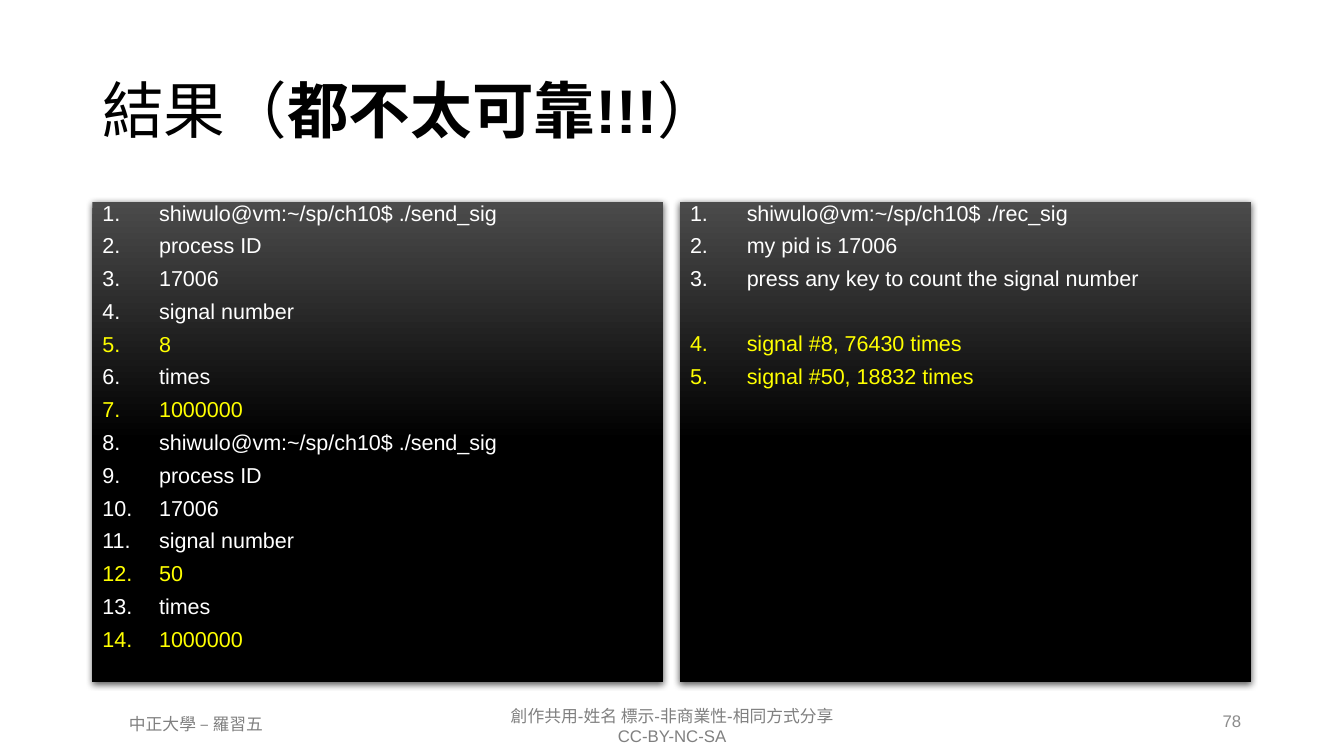
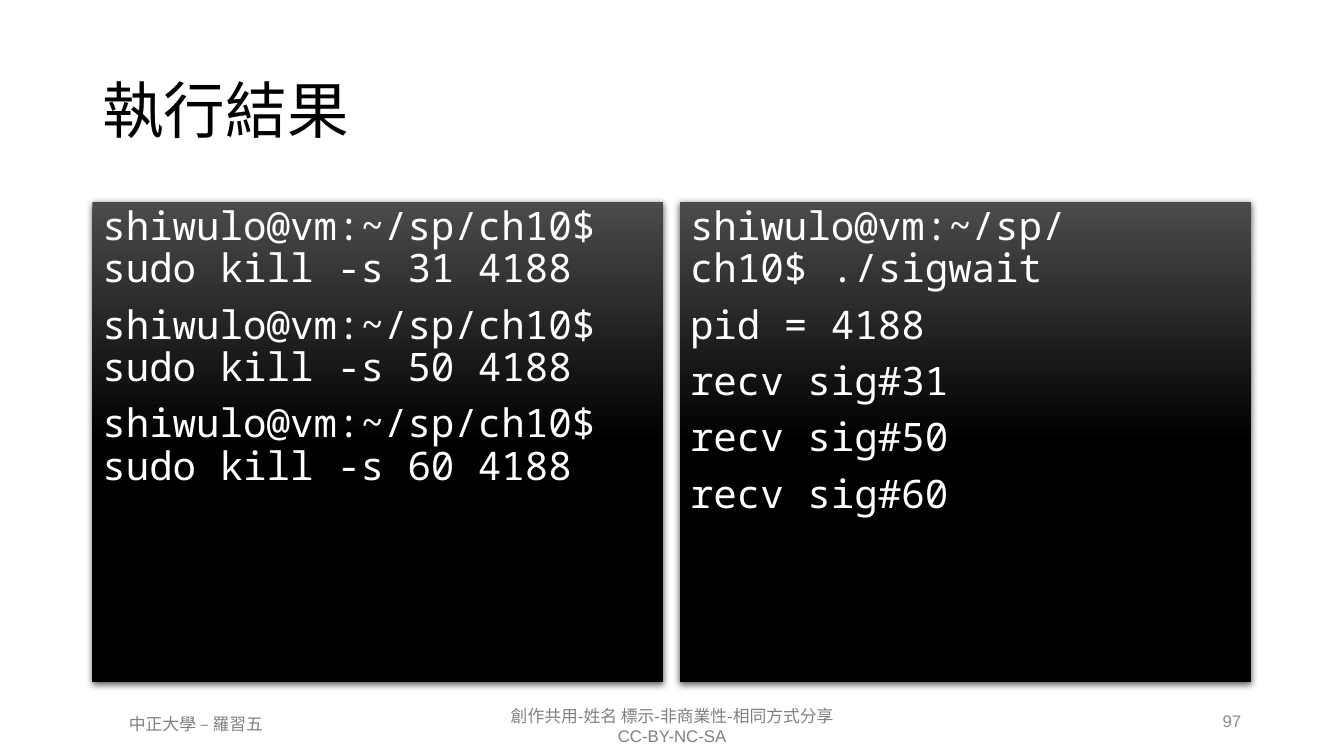
from dataclasses import dataclass

from lxml import etree
from pptx import Presentation
from pptx.dml.color import RGBColor
from pptx.enum.shapes import MSO_SHAPE
from pptx.enum.text import MSO_ANCHOR, PP_ALIGN
from pptx.oxml.ns import qn
from pptx.util import Cm, Pt

RECT = MSO_SHAPE.RECTANGLE
TOP, MIDDLE = MSO_ANCHOR.TOP, MSO_ANCHOR.MIDDLE
LEFT, CENTER, RIGHT = PP_ALIGN.LEFT, PP_ALIGN.CENTER, PP_ALIGN.RIGHT


@dataclass(frozen=True)
class Theme:
    ink: str = "000000"
    panel_top: str = "4B4B4B"
    code: str = "FFFFFF"
    highlight: str = "FFFF00"
    footer: str = "808080"
    number: str = "8C8C8C"
    font: str = "Arial"
    mono: str = "Noto Sans Mono"
    title_size: float = 44
    mono_size: float = 28
    list_size: float = 15.4
    footer_size: float = 12


THEME = Theme()
MARGIN, CONTENT_W, GAP = 2.33, 29.2, 0.42
PANEL_W = (CONTENT_W - GAP) / 2
PANEL_TOP, PANEL_H = 5.08, 12.1
LIST_INDENT = Cm(1.43)
LIST_SPACE, LIST_BREAK = 10.5, 33.4


class Deck:
    def __init__(self, theme):
        self.theme = theme
        self.prs = Presentation()
        self.prs.slide_width, self.prs.slide_height = Cm(33.87), Cm(19.05)
        self.slide = None

    def new_slide(self, title, number):
        t = self.theme
        self.slide = self.prs.slides.add_slide(self.prs.slide_layouts[6])
        self.text(10.69, 17.65, 12.5, 1.27,
                  ["創作共用-姓名 標示-非商業性-相同方式分享", "CC-BY-NC-SA"],
                  t.footer, CENTER)
        self.text(1.75, 17.86, 6.38, 0.76, ["中正大學 – 羅習五"], t.footer, CENTER)
        self.text(23.91, 17.65, 7.62, 1.01, [str(number)], t.number, RIGHT, MIDDLE)
        self.title(title)

    def style(self, r, size, color, font=None, bold=False):
        r.font.size = Pt(size)
        r.font.name = font or self.theme.font
        r.font.color.rgb = RGBColor.from_string(color)
        r.font.bold = bold

    def box(self, x, y, w, h, anchor):
        sp = self.slide.shapes.add_textbox(Cm(x), Cm(y), Cm(w), Cm(h))
        tf = sp.text_frame
        tf.word_wrap = True
        tf.vertical_anchor = anchor
        return tf

    def text(self, x, y, w, h, lines, color, align, anchor=TOP):
        tf = self.box(x, y, w, h, anchor)
        tf.text = "\n".join(lines)
        for p in tf.paragraphs:
            p.alignment = align
            self.style(p.runs[0], self.theme.footer_size, color)

    def title(self, parts):
        p = self.box(MARGIN, 1.01, CONTENT_W, 3.68, MIDDLE).paragraphs[0]
        p.line_spacing = 0.9
        for words, bold in parts:
            r = p.add_run()
            r.text = words
            self.style(r, self.theme.title_size, self.theme.ink, bold=bold)

    def panel(self, column, lines):
        x = MARGIN + column * (PANEL_W + GAP)
        sp = self.slide.shapes.add_shape(
            RECT, Cm(x), Cm(PANEL_TOP), Cm(PANEL_W), Cm(PANEL_H))
        sp.line.fill.background()
        sp.fill.gradient()
        sp.fill.gradient_angle = 270
        stops = zip(sp.fill.gradient_stops, (0, 0.5),
                    (self.theme.panel_top, self.theme.ink))
        for stop, position, color in stops:
            stop.position = position
            stop.color.rgb = RGBColor.from_string(color)
        self.shadow(sp)
        tf = sp.text_frame
        tf.word_wrap = True
        tf.vertical_anchor = TOP
        tf.text = "\n".join(lines)
        for p in tf.paragraphs:
            p.alignment = LEFT
        return tf.paragraphs

    def shadow(self, sp):
        sp.shadow.inherit = False
        effects = sp._element.spPr.find(qn("a:effectLst"))
        outer = etree.SubElement(effects, qn("a:outerShdw"), blurRad=str(Pt(4.5)),
                                 dist=str(Pt(1.5)), dir="5400000", rotWithShape="0")
        color = etree.SubElement(outer, qn("a:srgbClr"), val=self.theme.ink)
        etree.SubElement(color, qn("a:alpha"), val="63000")

    def numbered_panel(self, column, lines, highlights, break_before=None):
        t = self.theme
        for n, p in enumerate(self.panel(column, lines), 1):
            p.line_spacing = 0.7
            p.space_before = Pt(LIST_BREAK if n == break_before else LIST_SPACE)
            pPr = p._p.get_or_add_pPr()
            pPr.set("marL", str(LIST_INDENT))
            pPr.set("indent", str(-LIST_INDENT))
            etree.SubElement(pPr, qn("a:buFont"), typeface="+mj-lt")
            etree.SubElement(pPr, qn("a:buAutoNum"), type="arabicPeriod")
            self.style(p.runs[0], t.list_size, t.highlight if n in highlights else t.code)

    def console_panel(self, column, lines):
        t = self.theme
        for p in self.panel(column, lines):
            p.line_spacing = 0.9
            p.space_before = Pt(10)
            self.style(p.runs[0], t.mono_size, t.code, t.mono)


def main():
    deck = Deck(THEME)
    prompt = "shiwulo@vm:~/sp/ch10$ "

    deck.new_slide([("結果（", False), ("都不太可靠!!!", True), ("）", False)], 78)
    sent = [line for signal in ("8", "50")
            for line in (prompt + "./send_sig", "process ID", "17006",
                         "signal number", signal, "times", "1000000")]
    deck.numbered_panel(0, sent, {5, 7, 12, 14})
    deck.numbered_panel(1, [prompt + "./rec_sig", "my pid is 17006",
                            "press any key to count the signal number",
                            "signal #8, 76430 times", "signal #50, 18832 times"],
                        {4, 5}, break_before=4)

    deck.new_slide([("執行結果", False)], 97)
    signals = (31, 50, 60)
    deck.console_panel(0, [f"{prompt}sudo kill -s {n} 4188" for n in signals])
    deck.console_panel(1, [prompt + "./sigwait", "pid = 4188",
                           *(f"recv sig#{n}" for n in signals)])

    deck.prs.save("out.pptx")


if __name__ == "__main__":
    main()
